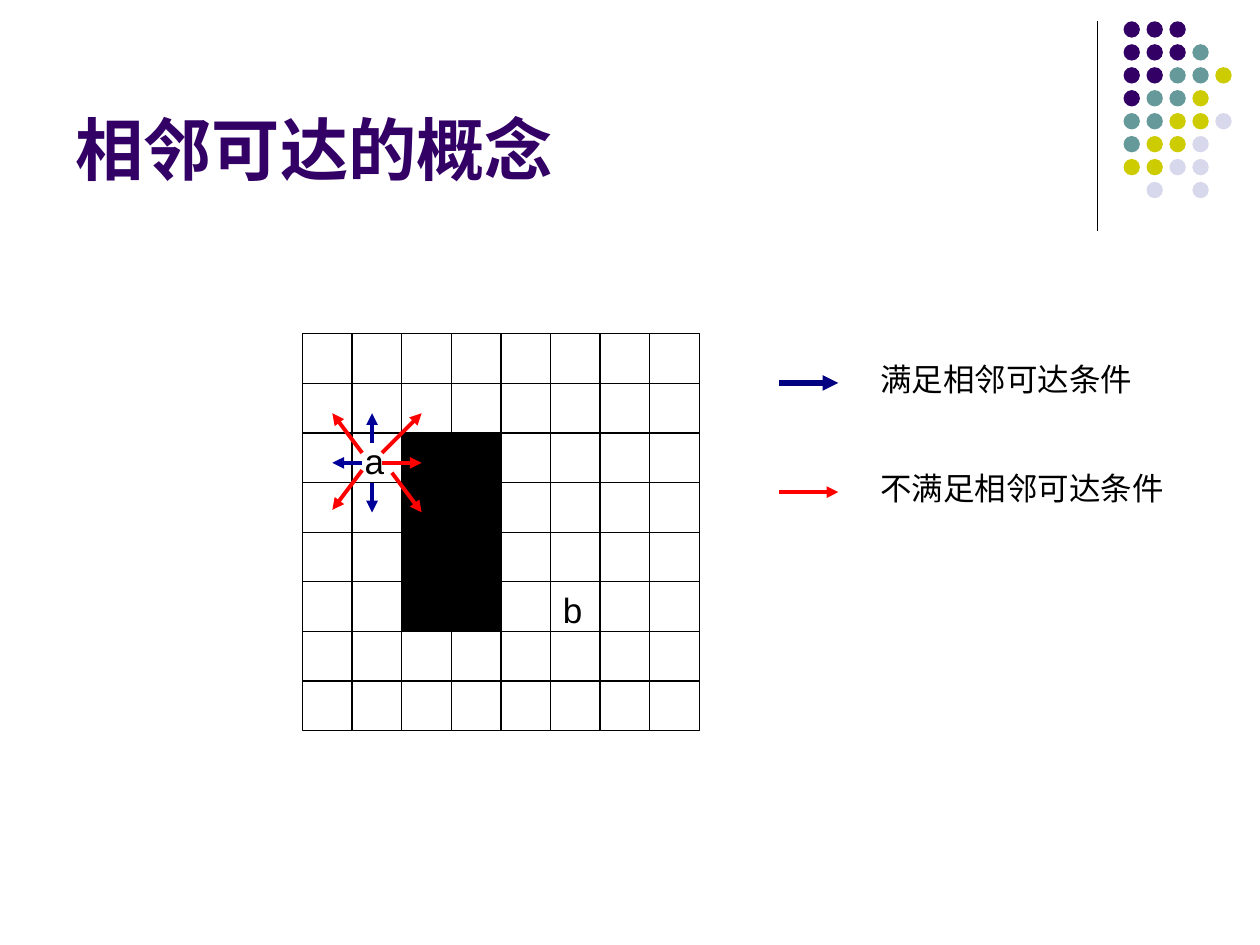
from lxml import etree
from pptx import Presentation
from pptx.dml.color import RGBColor
from pptx.enum.shapes import MSO_CONNECTOR, MSO_SHAPE
from pptx.enum.text import MSO_ANCHOR
from pptx.oxml.ns import qn
from pptx.util import Cm, Pt

LINE = MSO_CONNECTOR.STRAIGHT
RECT, OVAL = MSO_SHAPE.RECTANGLE, MSO_SHAPE.OVAL
TOP, BOTTOM = MSO_ANCHOR.TOP, MSO_ANCHOR.BOTTOM

COLORS = {
    "title": "330066", "teal": "669999", "olive": "CCCC00", "pale": "D8D8EC",
    "black": "000000", "white": "FFFFFF",
    "blue": "000099", "navy": "000080", "red": "FF0000",
}
DOTS = ["PPP", "PPPT", "PPTTO", "PTTO", "TTOOL", "TOOL", "OOLL", " L L"]
TINTS = {"P": "title", "T": "teal", "O": "olive", "L": "pale"}

SIDE = 8
WALL = (2, 2, 2, 4)
MARKS = [("a", 1, 2), ("b", 5, 5)]
OPEN = [(1.4, 2.2, 1.4, 1.6), (1.2, 2.6, 0.6, 2.6), (1.4, 3, 1.4, 3.6)]
SHUT = [(1.2, 2.4, 0.6, 1.6), (1.2, 2.75, 0.6, 3.55), (1.6, 2.4, 2.4, 1.6),
        (1.8, 2.8, 2.4, 3.6), (1.6, 2.6, 2.4, 2.6)]
KEYS = [("满足相邻可达条件", "navy", 3), ("不满足相邻可达条件", "red", 2.25)]


def rgb(name):
    return RGBColor.from_string(COLORS[name])


def apply(item, values):
    for name, value in values.items():
        setattr(item, name, value)


def shape(shapes, kind, box, fill, edge=None):
    item = shapes.add_shape(kind, *map(Cm, box))
    item.shadow.inherit = False
    item.fill.solid()
    item.fill.fore_color.rgb = rgb(fill)
    if edge:
        item.line.color.rgb = rgb(edge)
        item.line.width = Pt(0.75)
    else:
        item.line.fill.background()


def line(shapes, ends, color, width, arrow=True):
    item = shapes.add_connector(LINE, *map(Cm, ends))
    item.line.color.rgb = rgb(color)
    item.line.width = Pt(width)
    if arrow:
        etree.SubElement(item.line._get_or_add_ln(), qn("a:tailEnd"), type="triangle")
    etree.SubElement(item._element.spPr, qn("a:effectLst"))


def label(shapes, box, text, size, color="black", bold=False, anchor=TOP):
    frame = shapes.add_textbox(*map(Cm, box)).text_frame
    apply(frame, {"word_wrap": True, "vertical_anchor": anchor, "text": text})
    font = frame.paragraphs[0].runs[0].font
    apply(font, {"name": "Arial", "size": Pt(size), "bold": bold})
    font.color.rgb = rgb(color)


def corner(slide, left, top, width):
    """Draw the upright rule and the field of dots to its right."""
    line(slide.shapes, (left, top, left, top + 4.22), "black", 0.75, arrow=False)
    size, inset = 0.33, 0.53
    step = (width - inset - size) / 4
    group = slide.shapes.add_group_shape().shapes
    for row, codes in enumerate(DOTS):
        for col, code in enumerate(codes):
            if code in TINTS:
                box = (left + inset + col * step, top + row * step, size, size)
                shape(group, OVAL, box, TINTS[code])


def board(slide, left, top, width):
    """Draw the grid with its wall, marks and moves from cell a."""
    cell = width / SIDE

    def place(col, row, wide=1, high=1):
        return left + col * cell, top + row * cell, wide * cell, high * cell

    group = slide.shapes.add_group_shape().shapes
    for row in range(SIDE):
        for col in range(SIDE):
            shape(group, RECT, place(col, row), "white", "black")
    for text, col, row in MARKS:
        label(group, place(col, row, high=1.1), text, 20)
    shape(slide.shapes, RECT, place(*WALL), "black", "black")
    for moves, color in ((OPEN, "blue"), (SHUT, "red")):
        group = slide.shapes.add_group_shape().shapes
        for x1, y1, x2, y2 in moves:
            ends = place(x1, y1)[:2] + place(x2, y2)[:2]
            line(group, ends, color, 2.25)


def legend(slide, left, top, width):
    for row, (text, color, weight) in enumerate(KEYS):
        y = top + row * 2.2
        line(slide.shapes, (left, y + 0.59, left + 1.2, y + 0.59), color, weight)
        label(slide.shapes, (left + 1.8, y, width - 1.8, 1.02), text, 18)


def main():
    deck = Presentation()
    apply(deck, {"slide_width": Cm(25.4), "slide_height": Cm(19.05)})
    slide = deck.slides.add_slide(deck.slide_layouts[6])
    corner(slide, 22.12, 0.43, 2.71)
    label(slide.shapes, (1.27, 0.33, 20.96, 3.6), "相邻可达的概念", 39,
          "title", bold=True, anchor=BOTTOM)
    board(slide, 6.1, 6.73, 8)
    legend(slide, 15.7, 7.13, 8.4)
    deck.save("out.pptx")


if __name__ == "__main__":
    main()
